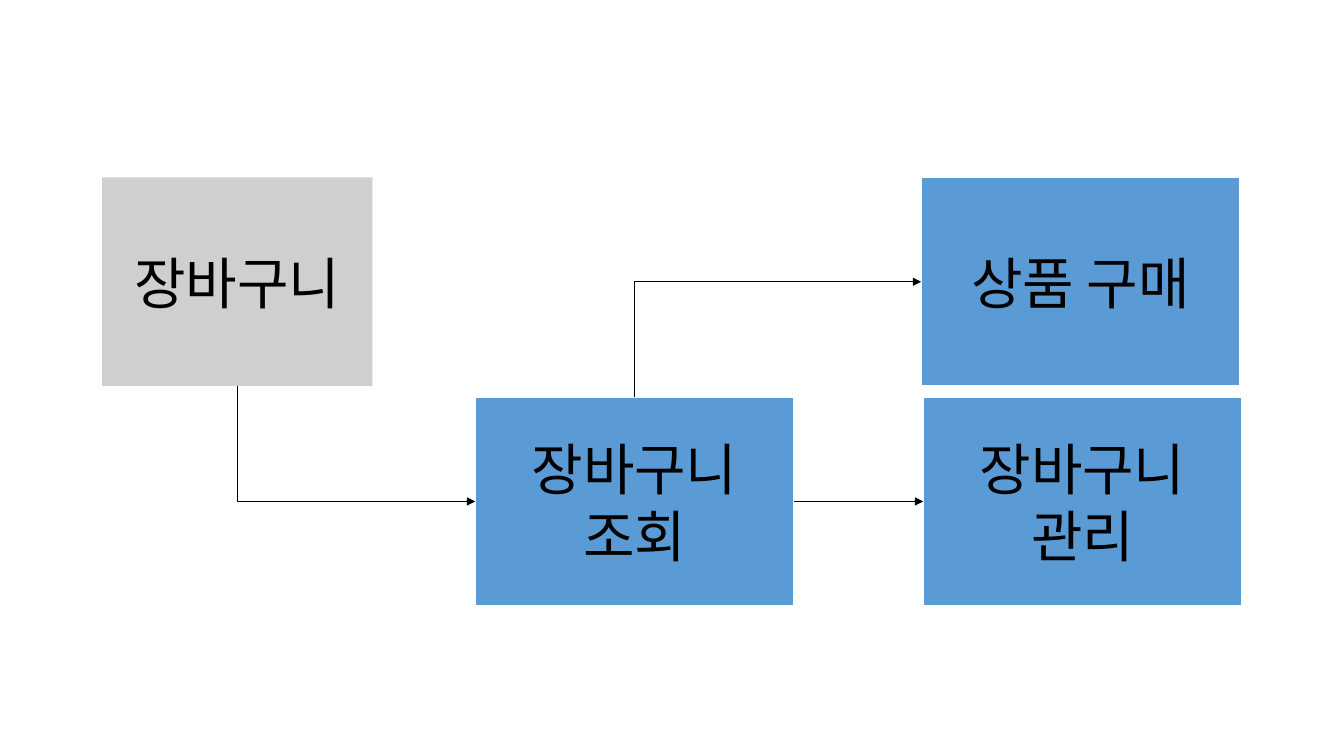
import pptx
import pptx.util
import pptx.dml.color
import pptx.enum.shapes
import pptx.enum.text
import pptx.oxml
import pptx.oxml.ns
from pptx.util import Pt

FONT = "Noto Sans CJK KR"
BLUE = "5B9BD5"
UPPER_ROW, LOWER_ROW = 126.72, 283.68
BOX_HEIGHT = 149.04
STEP_WIDTH = 227.52
TOP, LEFT, BOTTOM, RIGHT = range(4)


def color(hex_text):
    """Turn a hex string into a colour."""
    return pptx.dml.color.RGBColor.from_string(hex_text)


def add_child(parent, tag, **attributes):
    """Append an XML element with the given attributes."""
    child = pptx.oxml.ns.qn(tag)
    element = parent.makeelement(child, attributes)
    parent.append(element)


def add_box(slide, text, left, top, width, fill, outline=None):
    """Draw a filled rectangle with a centred label."""
    box = slide.shapes.add_shape(
        pptx.enum.shapes.MSO_SHAPE.RECTANGLE, Pt(left), Pt(top), Pt(width), Pt(BOX_HEIGHT))
    box.shadow.inherit = False
    box.fill.solid()
    box.fill.fore_color.rgb = color(fill)
    if outline:
        box.line.color.rgb = color(outline)
        box.line.width = Pt(1.5)
    else:
        box.line.fill.background()
    frame = box.text_frame
    frame.word_wrap = True
    frame.vertical_anchor = pptx.enum.text.MSO_ANCHOR.MIDDLE
    para = frame.paragraphs[0]
    para.text = text
    para.alignment = pptx.enum.text.PP_ALIGN.CENTER
    para.font.size = Pt(40)
    para.font.name = FONT
    para.font.color.rgb = color("000000")
    add_child(para.font._element, "a:ea", typeface=FONT)
    return box


def add_arrow(slide, start, start_side, end, end_side, kind):
    """Join two boxes with a thin black arrow."""
    arrow = slide.shapes.add_connector(kind, 0, 0, 0, 0)
    arrow.begin_connect(start, start_side)
    arrow.end_connect(end, end_side)
    arrow.line.color.rgb = color("000000")
    arrow.line.width = Pt(0.5)
    add_child(arrow.line._get_or_add_ln(), "a:tailEnd", type="triangle")
    add_child(arrow._element.spPr, "a:effectLst")
    return arrow


def add_bent_arrow(slide, start, start_side, end):
    """Draw an arrow that leaves vertically and turns once to the right."""
    arrow = add_arrow(slide, start, start_side, end, LEFT,
                      pptx.enum.shapes.MSO_CONNECTOR.ELBOW)
    across, down = arrow.width, arrow.height
    arrow.left += (across - down) // 2
    arrow.top += (down - across) // 2
    arrow.width, arrow.height = down, across
    properties = arrow._element.spPr
    properties.find(pptx.oxml.ns.qn("a:prstGeom")).set("prst", "bentConnector2")
    frame = properties.find(pptx.oxml.ns.qn("a:xfrm"))
    frame.set("rot", str(270 * 60000))
    frame.set("flipH", "1" if start_side == BOTTOM else "0")
    frame.set("flipV", "0")


def main():
    """Build the shopping cart flow slide."""
    deck = pptx.Presentation()
    deck.slide_width, deck.slide_height = Pt(960), Pt(540)
    slide = deck.slides.add_slide(deck.slide_layouts[6])

    cart = add_box(slide, "장바구니", 73, UPPER_ROW, 192.96, "D0CECE")
    purchase, view, manage = [
        add_box(slide, text, left, top, STEP_WIDTH, BLUE, "FFFFFF")
        for text, left, top in (
            ("상품 구매", 658, UPPER_ROW),
            ("장바구니 조회", 339.5, LOWER_ROW),
            ("장바구니 관리", 659.5, LOWER_ROW),
        )
    ]

    add_bent_arrow(slide, cart, BOTTOM, view)
    add_arrow(slide, view, RIGHT, manage, LEFT, pptx.enum.shapes.MSO_CONNECTOR.STRAIGHT)
    add_bent_arrow(slide, view, TOP, purchase)

    deck.save("out.pptx")


if __name__ == "__main__":
    main()
